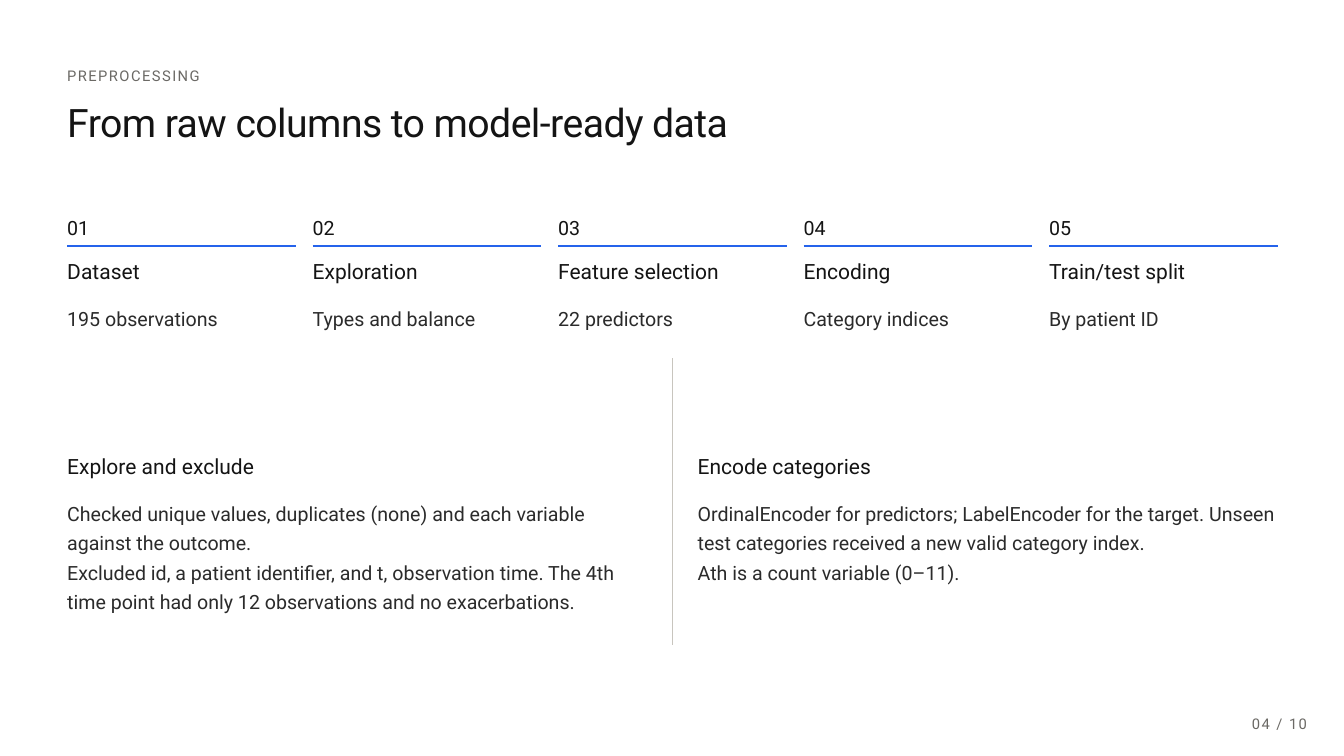
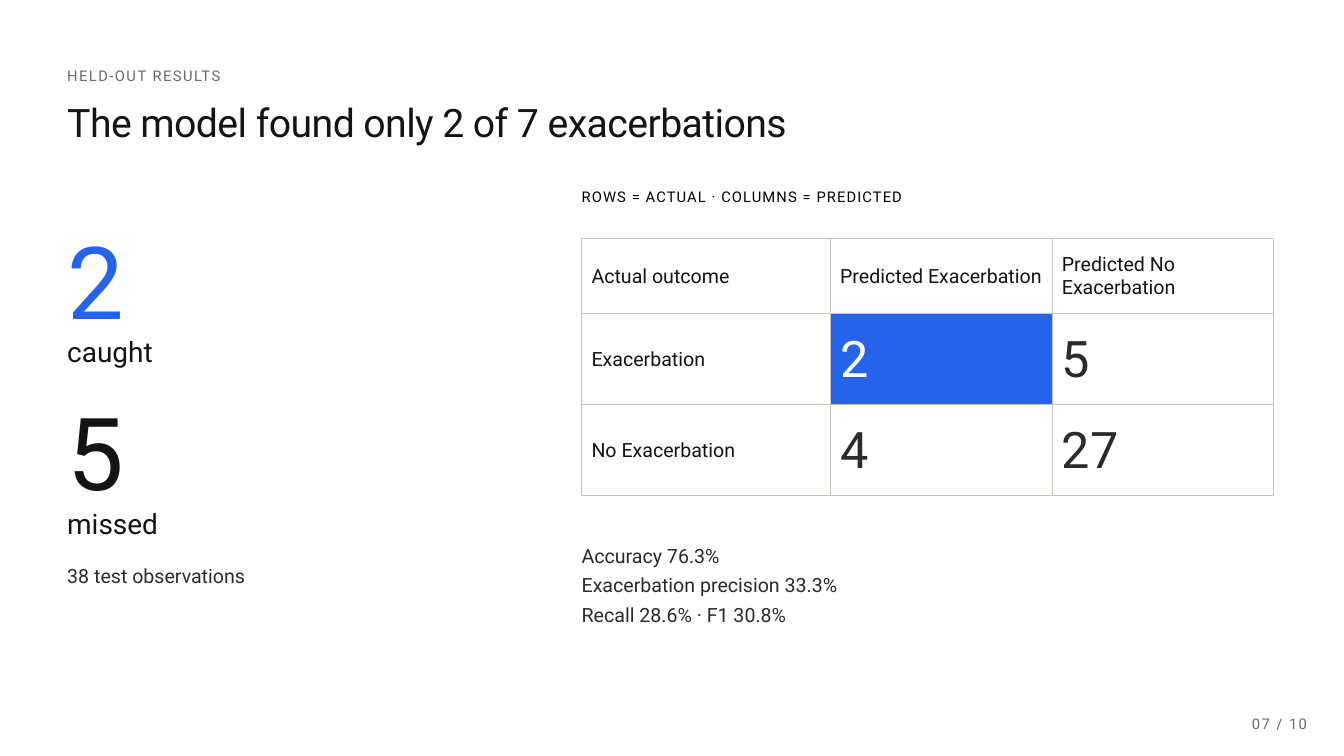
"""Build two slides on data preparation and held-out results."""
from lxml import etree
from pptx import Presentation
from pptx.dml.color import RGBColor
from pptx.enum.shapes import MSO_CONNECTOR
from pptx.enum.text import MSO_ANCHOR, MSO_AUTO_SIZE, PP_ALIGN
from pptx.oxml import parse_xml
from pptx.oxml.ns import nsdecls, qn
from pptx.util import Pt

STRAIGHT = MSO_CONNECTOR.STRAIGHT
TOP, MIDDLE = MSO_ANCHOR.TOP, MSO_ANCHOR.MIDDLE
NO_FIT = MSO_AUTO_SIZE.NONE
LEFT_ALIGN = PP_ALIGN.LEFT

FONT = "Roboto"
C = {"ink": "141414", "body": "2B2B2B", "muted": "6B6965", "blue": "2563EB",
     "line": "C8C5BE", "white": "FFFFFF", "black": "000000"}
LEFT = 72

SMALL = dict(size=15.8, color="muted", leading=23.6, spacing=1.53)
KICKER = dict(SMALL, leading=22.1)
TITLE = dict(size=42, color="ink", leading=45.4, spacing=-0.63)
HEADING = dict(size=22.5, color="ink", leading=31.6)
BODY = dict(size=21, color="body", leading=31.5)
NUMBER = dict(size=21, color="ink", leading=20.9)
HUGE = dict(size=108, leading=110.2, spacing=-2.7)
LABEL = dict(size=30, color="ink", leading=42.1)


def write(tf, text, size, color, leading, spacing=0, margin=0, anchor=TOP):
    tf.margin_left = tf.margin_right = tf.margin_top = tf.margin_bottom = Pt(margin)
    tf.word_wrap = True
    tf.auto_size = NO_FIT
    tf.vertical_anchor = anchor
    for i, line in enumerate(text.split("\n")):
        p = tf.paragraphs[0] if i == 0 else tf.add_paragraph()
        p.alignment = LEFT_ALIGN
        p.line_spacing = Pt(leading)
        r = p.add_run()
        r.text = line
        r.font.name = FONT
        r.font.size = Pt(size)
        r.font.color.rgb = RGBColor.from_string(C[color])
        if spacing:
            r._r.get_or_add_rPr().set("spc", str(round(spacing * 100)))


def box(s, text, x, y, w, h, **fmt):
    sp = s.shapes.add_textbox(Pt(x), Pt(y), Pt(w), Pt(h))
    write(sp.text_frame, text, **fmt)


prs = Presentation()
prs.slide_width, prs.slide_height = Pt(1440), Pt(810)

slides = []
for kicker, title, page in [
    ("PREPROCESSING", "From raw columns to model-ready data", "04 / 10"),
    ("HELD-OUT RESULTS", "The model found only 2 of 7 exacerbations", "07 / 10"),
]:
    s = prs.slides.add_slide(prs.slide_layouts[5])
    sp = s.shapes.title
    sp.left, sp.top, sp.width, sp.height = Pt(LEFT), Pt(110.2), Pt(1297), Pt(43)
    write(sp.text_frame, title, **TITLE)
    box(s, kicker, LEFT, 68.4, 1369, 26, **KICKER)
    box(s, page, 1341.4, 759.6, 98.6, 27.4, anchor=MIDDLE, **SMALL)
    slides.append(s)
process, results = slides

STEP_W, STEP_GAP, RULE_Y = 245, 18, 263.2
steps = [
    ("Dataset", "195 observations"),
    ("Exploration", "Types and balance"),
    ("Feature selection", "22 predictors"),
    ("Encoding", "Category indices"),
    ("Train/test split", "By patient ID"),
]
rules = [(720.7, 383.6, 720.7, 691, "line", 1.2)]
for i, (name, detail) in enumerate(steps):
    x = LEFT + i * (STEP_W + STEP_GAP)
    box(process, f"{i + 1:02d}", x, 235.4, 96, 18, **NUMBER)
    box(process, name, x, 272.2, STEP_W, 36, **HEADING)
    box(process, detail, x, 322.6, STEP_W, 36.7, **BODY)
    rules.append((x, RULE_Y, x + STEP_W, RULE_Y, "blue", 2.2))

for x1, y1, x2, y2, color, width in rules:
    cx = process.shapes.add_connector(STRAIGHT, Pt(x1), Pt(y1), Pt(x2), Pt(y2))
    cx.line.color.rgb = RGBColor.from_string(C[color])
    cx.line.width = Pt(width)
    etree.SubElement(cx._element.spPr, qn("a:effectLst"))

for x, heading, body, height in [
    (LEFT, "Explore and exclude",
     "Checked unique values, duplicates (none) and each variable against the outcome.\n"
     "Excluded id, a patient identifier, and t, observation time. "
     "The 4th time point had only 12 observations and no exacerbations.", 147),
    (747.5, "Encode categories",
     "OrdinalEncoder for predictors; LabelEncoder for the target. "
     "Unseen test categories received a new valid category index.\n"
     "Ath is a count variable (0–11).", 116),
]:
    box(process, heading, x, 481.7, 621.4, 36, **HEADING)
    box(process, body, x, 531.4, 621.4, height, **BODY)

for y, count, label, color in [(253.4, "2", "caught", "blue"),
                               (437, "5", "missed", "ink")]:
    box(results, count, LEFT, y, 497.5, 100, color=color, **HUGE)
    box(results, label, LEFT, y + 99.4, 497.5, 48, **LABEL)
box(results, "38 test observations", LEFT, 598.3, 497.5, 36.7, **BODY)

MATRIX_X = 623.2
box(results, "ROWS = ACTUAL · COLUMNS = PREDICTED", MATRIX_X, 196.4, 746, 44,
    **dict(SMALL, color="black", spacing=1.15))
box(results, "Accuracy 76.3%\nExacerbation precision 33.3%\nRecall 28.6% · F1 30.8%",
    MATRIX_X, 576.5, 746, 131, **BODY)

matrix = [
    ("Actual outcome", "Predicted Exacerbation", "Predicted No Exacerbation"),
    ("Exacerbation", "2", "5"),
    ("No Exacerbation", "4", "27"),
]
col_widths, row_heights = (266.4, 237.6, 237.6), (80.2, 97.8, 97.2)
table = results.shapes.add_table(3, 3, Pt(MATRIX_X), Pt(255.8),
                                 Pt(sum(col_widths)), Pt(sum(row_heights))).table
table.first_row = table.horz_banding = False
for col, width in zip(table.columns, col_widths):
    col.width = Pt(width)
for row, height in zip(table.rows, row_heights):
    row.height = Pt(height)
for i, row in enumerate(matrix):
    for j, text in enumerate(row):
        cell = table.cell(i, j)
        hit = (i, j) == (1, 1)
        if i and j:
            fmt = dict(size=54, color="white" if hit else "body", leading=64.8)
        else:
            fmt = dict(size=21, color="ink", leading=25.2)
        write(cell.text_frame, text, **fmt)
        cell.margin_left, cell.margin_right = Pt(10.6), Pt(9)
        cell.margin_top = cell.margin_bottom = Pt(10.8)
        cell.vertical_anchor = MIDDLE
        tcPr = cell._tc.get_or_add_tcPr()
        for side in "LRTB":
            tcPr.append(parse_xml(
                f'<a:ln{side} {nsdecls("a")} w="{Pt(1)}"><a:solidFill>'
                f'<a:srgbClr val="{C["line"]}"/></a:solidFill></a:ln{side}>'))
        if hit:
            cell.fill.solid()
            cell.fill.fore_color.rgb = RGBColor.from_string(C["blue"])
        else:
            cell.fill.background()

prs.save("out.pptx")
